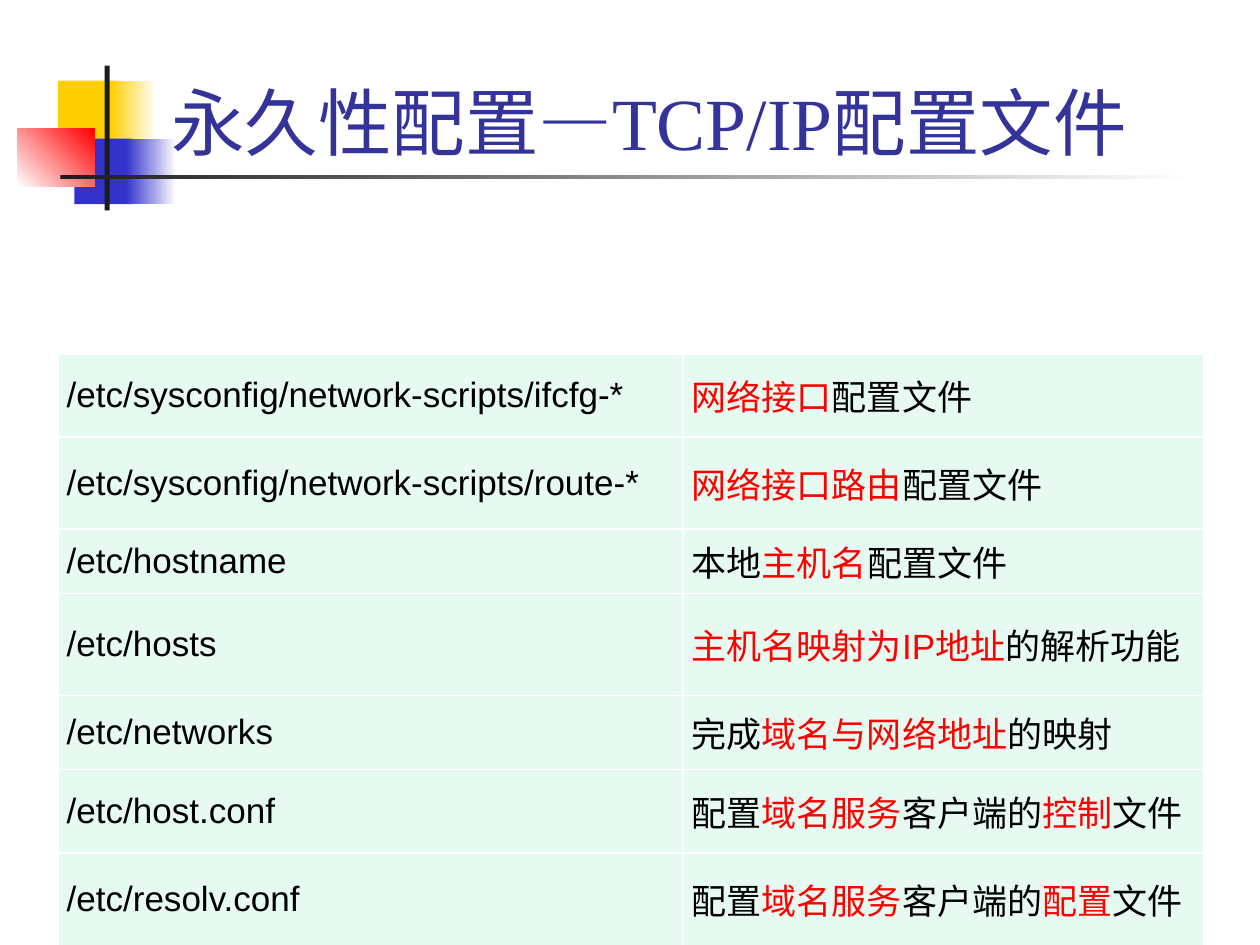
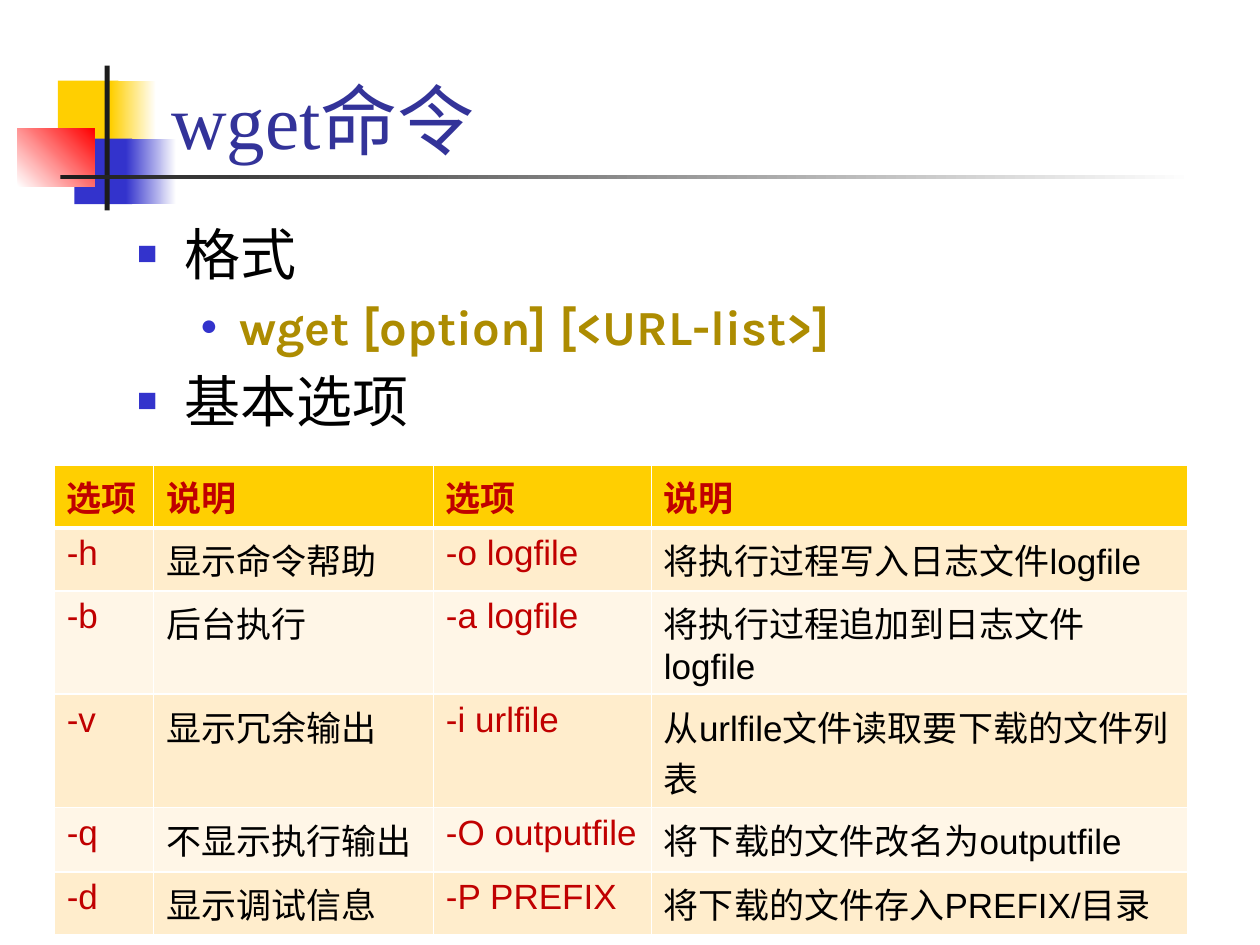
from lxml import etree
from pptx import Presentation
from pptx.dml.color import RGBColor
from pptx.enum.shapes import MSO_SHAPE
from pptx.enum.text import MSO_ANCHOR, PP_ALIGN
from pptx.oxml.ns import qn
from pptx.util import Inches, Pt

RECTANGLE = MSO_SHAPE.RECTANGLE
TOP, MIDDLE, BOTTOM = MSO_ANCHOR.TOP, MSO_ANCHOR.MIDDLE, MSO_ANCHOR.BOTTOM
LEFT, JUSTIFY = PP_ALIGN.LEFT, PP_ALIGN.JUSTIFY

WHITE = RGBColor(0xFF, 0xFF, 0xFF)
BLACK = RGBColor(0x00, 0x00, 0x00)
RED = RGBColor(0xFF, 0x00, 0x00)
DARK_RED = RGBColor(0xC0, 0x00, 0x00)
YELLOW = RGBColor(0xFF, 0xCF, 0x01)
BLUE = RGBColor(0x33, 0x33, 0xCC)
TITLE_BLUE = RGBColor(0x33, 0x33, 0x99)
CHARCOAL = RGBColor(0x1C, 0x1C, 0x1C)
OLIVE = RGBColor(0xAD, 0x8C, 0x01)
MINT = RGBColor(0xE7, 0xFA, 0xF1)
DARK_BAND = RGBColor(0xFF, 0xED, 0xCC)
LIGHT_BAND = RGBColor(0xFF, 0xF6, 0xE7)

TITLE_FONT, BODY_FONT, TABLE_FONT = "Times New Roman", "Karla", "Arial"

# left, top, width, height, first colour, end colour of the gradient, angle
MOTIF = [
    (0.46, 0.64, 0.48, 0.52, YELLOW, None, 0),
    (0.88, 0.64, 0.36, 0.52, YELLOW, WHITE, 0),
    (0.59, 1.1, 0.46, 0.52, BLUE, None, 0),
    (1, 1.1, 0.4, 0.52, BLUE, WHITE, 0),
    (0.14, 1.02, 0.61, 0.46, WHITE, RED, 45),
    (0.83, 0.52, 0.04, 1.15, CHARCOAL, None, 0),
    (0.48, 1.39, 9, 0.03, CHARCOAL, WHITE, 0),
]

# Text between bars is highlighted.
CONFIG_FILES = [
    ("/etc/sysconfig/network-scripts/ifcfg-*", "|网络接口|配置文件"),
    ("/etc/sysconfig/network-scripts/route-*", "|网络接口路由|配置文件"),
    ("/etc/hostname", "本地|主机名|配置文件"),
    ("/etc/hosts", "|主机名映射为IP地址|的解析功能"),
    ("/etc/networks", "完成|域名与网络地址|的映射"),
    ("/etc/host.conf", "配置|域名服务|客户端的|控制|文件"),
    ("/etc/resolv.conf", "配置|域名服务|客户端的|配置|文件"),
]
CONFIG_ROW_HEIGHTS = [0.66, 0.73, 0.51, 0.81, 0.59, 0.66, 0.74]

WGET_OPTIONS = [
    ("选项", "说明", "选项", "说明"),
    ("-h", "显示命令帮助", "-o logfile", "将执行过程写入日志文件logfile"),
    ("-b", "后台执行", "-a logfile", "将执行过程追加到日志文件logfile"),
    ("-v", "显示冗余输出", "-i urlfile", "从urlfile文件读取要下载的文件列表"),
    ("-q", "不显示执行输出", "-O outputfile", "将下载的文件改名为outputfile"),
    ("-d", "显示调试信息", "-P PREFIX", "将下载的文件存入PREFIX/目录"),
]
OPTION_ROW_HEIGHTS = [0.5, 0.5, 0.82, 0.9, 0.51, 0.5]


def write(paragraph, text, *, font, size, color, highlight=RED, bold=False, align=LEFT):
    """Fill the paragraph, giving text between bars the highlight colour."""
    paragraph.alignment = align
    for index, part in enumerate(text.split("|")):
        if part:
            run = paragraph.add_run()
            run.text = part
            run.font.name = font
            run.font.size = Pt(size)
            run.font.bold = bold
            run.font.color.rgb = highlight if index % 2 else color


def add_bullet(paragraph, symbol, indent, hanging):
    properties = paragraph._p.get_or_add_pPr()
    properties.set("marL", str(Inches(indent)))
    properties.set("indent", str(-Inches(hanging)))
    space = etree.SubElement(properties, qn("a:spcBef"))
    etree.SubElement(space, qn("a:spcPct"), val="20000")
    color = etree.SubElement(properties, qn("a:buClr"))
    etree.SubElement(color, qn("a:srgbClr"), val=str(BLUE))
    etree.SubElement(properties, qn("a:buSzPct"), val="60000")
    etree.SubElement(properties, qn("a:buFont"), typeface=TABLE_FONT)
    etree.SubElement(properties, qn("a:buChar"), char=symbol)


def add_borders(cell, bottom_width):
    properties = cell._tc.get_or_add_tcPr()
    for side, width in (("L", 1), ("R", 1), ("T", 1), ("B", bottom_width)):
        line = etree.SubElement(properties, qn(f"a:ln{side}"), w=str(Pt(width)))
        fill = etree.SubElement(line, qn("a:solidFill"))
        etree.SubElement(fill, qn("a:srgbClr"), val=str(WHITE))


class Deck:
    """Holds the shared style and the slide being built."""

    def __init__(self):
        self.presentation = Presentation()
        self.presentation.slide_width = Inches(10)
        self.presentation.slide_height = Inches(7.5)
        self.slide = None

    def start_slide(self, title, title_size, title_width):
        self.slide = self.presentation.slides.add_slide(self.presentation.slide_layouts[6])
        for block in MOTIF:
            self.add_block(*block)
        frame = self.add_text_frame(1.26, 0.21, title_width, 1.15, BOTTOM)
        write(frame.paragraphs[0], title, font=TITLE_FONT, size=title_size, color=TITLE_BLUE)

    def add_block(self, left, top, width, height, color, end_color, angle):
        block = self.slide.shapes.add_shape(
            RECTANGLE, Inches(left), Inches(top), Inches(width), Inches(height))
        block.shadow.inherit = False
        block.line.fill.background()
        if end_color is None:
            block.fill.solid()
            block.fill.fore_color.rgb = color
        else:
            block.fill.gradient()
            block.fill.gradient_angle = angle
            for stop, stop_color in zip(block.fill.gradient_stops, (color, end_color)):
                stop.color.rgb = stop_color

    def add_text_frame(self, left, top, width, height, anchor=TOP):
        frame = self.slide.shapes.add_textbox(
            Inches(left), Inches(top), Inches(width), Inches(height)).text_frame
        frame.word_wrap = True
        frame.vertical_anchor = anchor
        return frame

    def add_outline(self, items):
        """Add bulleted (level, text) items below the title."""
        frame = self.add_text_frame(0.99, 1.69, 8.5, 4.5)
        for index, (level, text) in enumerate(items):
            paragraph = frame.add_paragraph() if index else frame.paragraphs[0]
            paragraph.level = level
            if level:
                write(paragraph, text, font=BODY_FONT, size=28, color=OLIVE, bold=True)
                add_bullet(paragraph, "●", 0.81, 0.31)
            else:
                write(paragraph, text, font=BODY_FONT, size=32, color=BLACK)
                add_bullet(paragraph, "■", 0.38, 0.38)

    def add_table(self, rows, left, top, column_widths, row_heights, style_cell):
        """Add a table; style_cell(cell, row, column) returns fill, bottom border and text format."""
        table = self.slide.shapes.add_table(
            len(rows), len(column_widths), Inches(left), Inches(top),
            Inches(sum(column_widths)), Inches(sum(row_heights))).table
        table.first_row = table.horz_banding = False
        for column, width in zip(table.columns, column_widths):
            column.width = Inches(width)
        for row, height in zip(table.rows, row_heights):
            row.height = Inches(height)
        for r, texts in enumerate(rows):
            for c, text in enumerate(texts):
                cell = table.cell(r, c)
                fill, bottom_width, text_format = style_cell(cell, r, c)
                add_borders(cell, bottom_width)
                cell.fill.solid()
                cell.fill.fore_color.rgb = fill
                write(cell.text_frame.paragraphs[0], text,
                      font=TABLE_FONT, size=20, **text_format)


def style_config_cell(cell, row, column):
    cell.vertical_anchor = MIDDLE
    cell.margin_left = cell.margin_right = Inches(0.07)
    cell.margin_top = cell.margin_bottom = 0
    return MINT, 1, {"color": BLACK, "align": JUSTIFY}


def style_option_cell(cell, row, column):
    if row == 0:
        return YELLOW, 3, {"color": DARK_RED, "bold": True}
    band = DARK_BAND if row % 2 else LIGHT_BAND
    return band, 1, {"color": BLACK if column % 2 else DARK_RED}


def main():
    deck = Deck()

    deck.start_slide("永久性配置—TCP/IP配置文件", 42, 10.67)
    deck.add_table(CONFIG_FILES, 0.46, 2.81, [4.96, 4.13],
                   CONFIG_ROW_HEIGHTS, style_config_cell)

    deck.start_slide("wget命令", 44, 8.52)
    deck.add_outline([(0, "格式"), (1, "wget [option] [<URL-list>]"), (0, "基本选项")])
    deck.add_table(WGET_OPTIONS, 0.43, 3.69, [0.79, 2.22, 1.73, 4.26],
                   OPTION_ROW_HEIGHTS, style_option_cell)

    deck.presentation.save("out.pptx")


if __name__ == "__main__":
    main()
